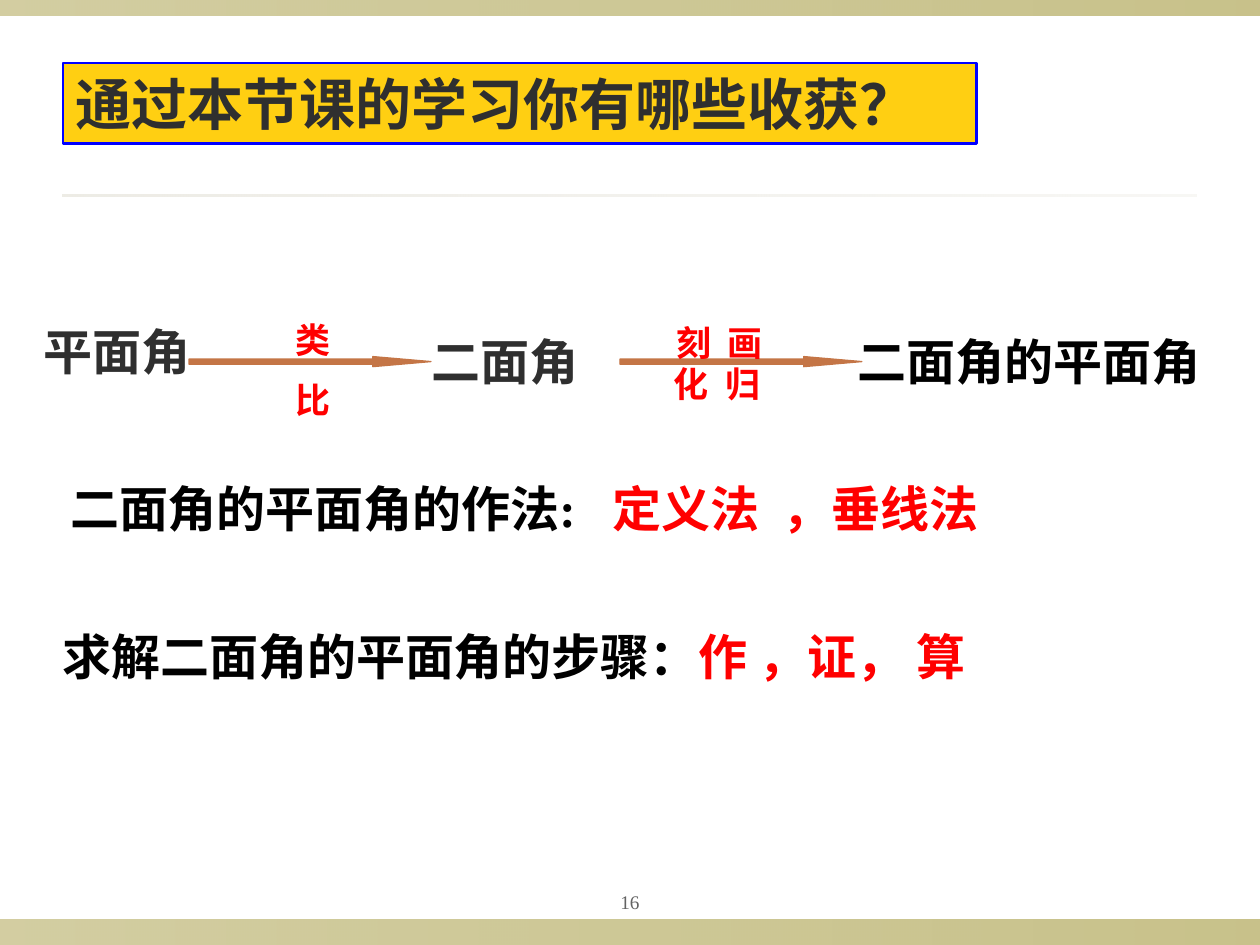
import pptx
import pptx.dml.color
import pptx.enum.shapes
import pptx.enum.text
import pptx.oxml
import pptx.oxml.ns
import pptx.util
from dataclasses import dataclass

Inches = pptx.util.Inches
Align = pptx.enum.text.PP_ALIGN
Shapes = pptx.enum.shapes.MSO_SHAPE


@dataclass(frozen=True)
class Theme:
    font: str = "Times New Roman"
    ink: str = "2F2F2F"
    black: str = "000000"
    red: str = "FF0000"
    grey: str = "636363"
    olive: str = "918415"
    rule: str = "DCD9CC"
    arrow: str = "C47546"
    banner: str = "FFCC00"
    banner_line: str = "0000FF"
    title: int = 32
    body: int = 28
    label: int = 20
    number: int = 11


THEME = Theme()

# Content: bands as box, colour, start and end opacity in percent
BANDS = [
    ((0, 7.3, 10, 0.2), THEME.olive, (40, 50)),
    ((0, 0, 10, 0.12), THEME.olive, (40, 50)),
    ((0.5, 1.54, 9, 0.02), THEME.rule, (50, 20)),
]
ARROW_LEFTS = [1.5, 4.92]
ARROW_TOP, ARROW_WIDTH, ARROW_HEIGHT = 2.83, 1.92, 0.08

# Runs are text, colour and extra spacing in points after each character
TITLE_BOX = (0.5, 0.5, 7.25, 0.64)
TITLE = [("通过本节课的学习你有哪些收获？", THEME.ink, 0)]
CONCEPTS = [
    ((0.25, 2.5, 2.17, 0.57), "平面角", THEME.ink, Align.LEFT),
    ((3.33, 2.58, 1.5, 0.57), "二面角", THEME.ink, Align.LEFT),
    ((6.58, 2.58, 3.17, 0.57), "二面角的平面角", THEME.black, Align.CENTER),
]
# Arrow labels: box, first and second character, gap, alignment, vertical
LABELS = [
    ((2.16, 2.46, 0.53, 0.85), "类", "比", 10, Align.CENTER, True),
    ((5.25, 2.5, 0.92, 0.44), "刻", "画", 5, Align.CENTER, False),
    ((5.25, 2.83, 1.08, 0.44), "化", "归", 5, Align.LEFT, False),
]
SUMMARIES = [
    ((0.27, 3.75, 7.78, 0.57), [
        ("二面角的平面角的作法:", THEME.black, 0), (" ", THEME.black, 14),
        ("定义法", THEME.red, 0), (" ", THEME.red, 7), ("，垂线法", THEME.red, 0)]),
    ((0.3, 4.92, 7.56, 0.57), [
        ("求解二面角的平面角的步骤：", THEME.black, 0),
        ("作 ，证， 算", THEME.red, 0)]),
]
NUMBER_BOX = (4.5, 7, 1, 0.31)
NUMBER = [("16", THEME.grey, 0)]


def rgb(value):
    return pptx.dml.color.RGBColor.from_string(value)


def set_opacity(shape, percents):
    colors = shape._element.spPr.xpath("./a:solidFill/a:srgbClr | ./a:gradFill//a:srgbClr")
    for color, percent in zip(colors, percents):
        alpha = pptx.oxml.parse_xml(
            f'<a:alpha {pptx.oxml.ns.nsdecls("a")} val="{percent * 1000}"/>')
        color.append(alpha)


def add_shape(slide, kind, box):
    shape = slide.shapes.add_shape(kind, *map(Inches, box))
    shape.shadow.inherit = False
    return shape


def write(shape, runs, size, align=Align.LEFT, bold=True, wrap=True,
          margins=(0.1, 0.05), anchor=pptx.enum.text.MSO_ANCHOR.TOP):
    frame = shape.text_frame
    frame.word_wrap = wrap
    if not wrap:
        frame.auto_size = pptx.enum.text.MSO_AUTO_SIZE.SHAPE_TO_FIT_TEXT
    frame.vertical_anchor = anchor
    frame.margin_left = frame.margin_right = Inches(margins[0])
    frame.margin_top = frame.margin_bottom = Inches(margins[1])
    paragraph = frame.paragraphs[0]
    paragraph.alignment = align
    for text, color, spacing in runs:
        run = paragraph.add_run()
        run.text = text
        run.font.name = THEME.font
        run.font.size = pptx.util.Pt(size)
        run.font.bold = bold
        run.font.color.rgb = rgb(color)
        if spacing:
            run.font._element.set("spc", str(spacing * 100))


def add_text(slide, box, runs, size, **options):
    shape = slide.shapes.add_textbox(*map(Inches, box))
    write(shape, runs, size, **options)
    return shape


def main():
    presentation = pptx.Presentation()
    presentation.slide_width, presentation.slide_height = Inches(10), Inches(7.5)
    slide = presentation.slides.add_slide(presentation.slide_layouts[6])

    # Edge bands and rule under the title
    for box, color, opacities in BANDS:
        band = add_shape(slide, Shapes.RECTANGLE, box)
        band.line.fill.background()
        band.fill.gradient()
        band.fill.gradient_angle = 0
        for stop in band.fill.gradient_stops:
            stop.color.rgb = rgb(color)
        set_opacity(band, opacities)

    # Title banner
    banner = add_shape(slide, Shapes.RECTANGLE, TITLE_BOX)
    banner.fill.solid()
    banner.fill.fore_color.rgb = rgb(THEME.banner)
    set_opacity(banner, [93])
    banner.line.color.rgb = rgb(THEME.banner_line)
    banner.line.width = pptx.util.Pt(1.25)
    write(banner, TITLE, THEME.title)

    # Concept chain
    for left in ARROW_LEFTS:
        arrow = add_shape(slide, Shapes.RIGHT_ARROW,
                          (left, ARROW_TOP, ARROW_WIDTH, ARROW_HEIGHT))
        arrow.adjustments[0] = 0.5
        arrow.adjustments[1] = 5.77
        arrow.fill.solid()
        arrow.fill.fore_color.rgb = rgb(THEME.arrow)
        arrow.line.color.rgb = rgb(THEME.arrow)
        arrow.line.width = pptx.util.Pt(0.75)
    for box, text, color, align in CONCEPTS:
        add_text(slide, box, [(text, color, 0)], THEME.body, align=align)
    for box, first, second, gap, align, vertical in LABELS:
        runs = [(first, THEME.red, 0), (" ", THEME.red, gap), (second, THEME.red, 0)]
        label = add_text(slide, box, runs, THEME.label, align=align, wrap=not vertical,
                         margins=(0.05, 0.1) if vertical else (0.1, 0.05))
        if vertical:
            label.text_frame._txBody.bodyPr.set("vert", "eaVert")

    # Summary lines
    for box, runs in SUMMARIES:
        add_text(slide, box, runs, THEME.body, align=Align.CENTER, wrap=False)

    # Page number
    add_text(slide, NUMBER_BOX, NUMBER, THEME.number, align=Align.CENTER, bold=False,
             margins=(0.05, 0.05), anchor=pptx.enum.text.MSO_ANCHOR.MIDDLE)

    presentation.save("out.pptx")


if __name__ == "__main__":
    main()
